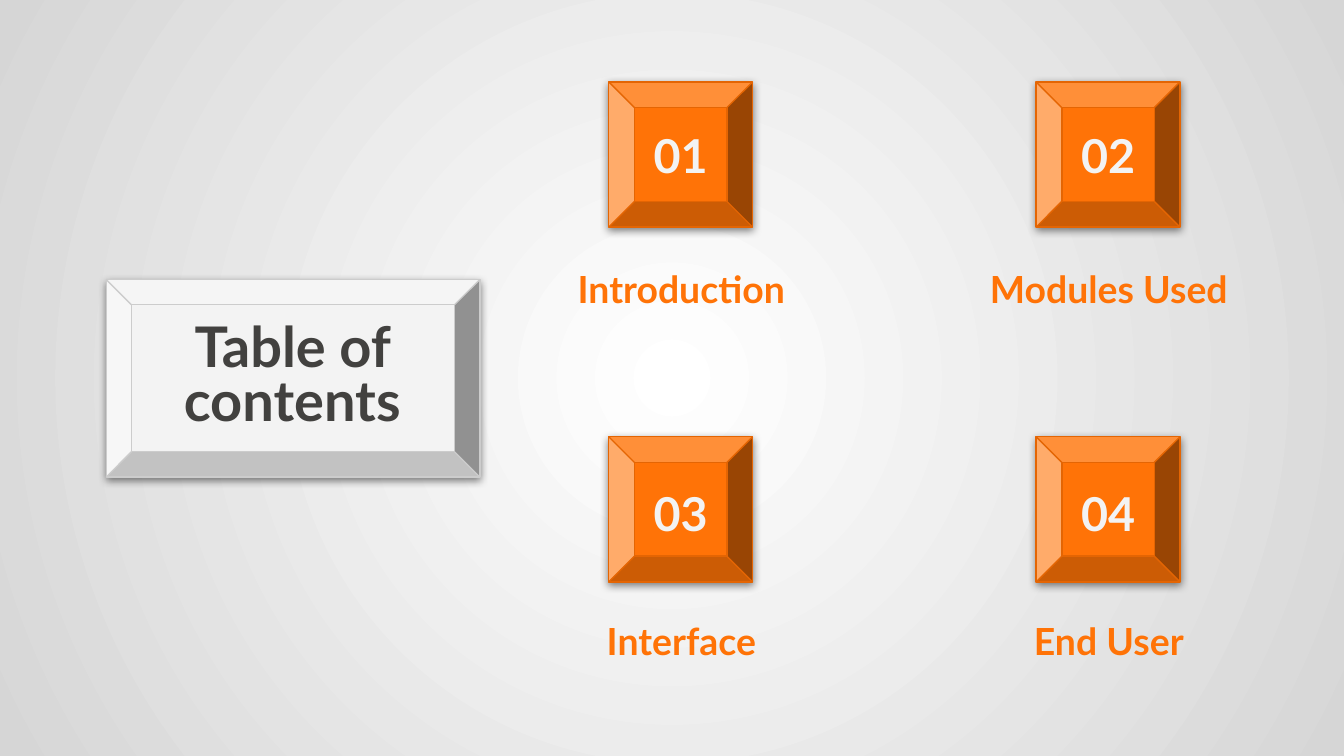
from lxml import etree
from pptx import Presentation
from pptx.dml.color import RGBColor
from pptx.enum.shapes import MSO_SHAPE
from pptx.enum.text import MSO_ANCHOR, MSO_AUTO_SIZE, PP_ALIGN
from pptx.oxml import parse_xml
from pptx.oxml.ns import nsdecls, qn
from pptx.util import Inches, Pt

COLORS = {
    "orange": "FF7307",
    "orange_edge": "E46503",
    "light": "F3F3F3",
    "light_edge": "CCCCCC",
    "dark": "42413F",
    "center": "FFFFFF",
    "rim": "D6D6D6",
    "shadow": "000000",
}


class Deck:
    font = "Lato"

    def __init__(self, width):
        self.prs = Presentation()
        self.prs.slide_width = Inches(width)
        self.prs.slide_height = Inches(width * 9 / 16)
        self.s = None

    def add_slide(self):
        self.s = self.prs.slides.add_slide(self.prs.slide_layouts[5])

    def background(self, inner, outer):
        bg = parse_xml(
            f'<p:bg {nsdecls("p", "a")}><p:bgPr><a:gradFill><a:gsLst>'
            f'<a:gs pos="0"><a:srgbClr val="{COLORS[inner]}"/></a:gs>'
            f'<a:gs pos="100000"><a:srgbClr val="{COLORS[outer]}"/></a:gs>'
            '</a:gsLst><a:path path="circle">'
            '<a:fillToRect l="50000" t="50000" r="50000" b="50000"/>'
            '</a:path></a:gradFill><a:effectLst/></p:bgPr></p:bg>'
        )
        self.s.element.cSld.insert(0, bg)

    def bevel(self, x, y, w, h, depth, fill, edge):
        sp = self.s.shapes.add_shape(
            MSO_SHAPE.BEVEL, Inches(x), Inches(y), Inches(w), Inches(h))
        sp.adjustments[0] = depth
        sp.fill.solid()
        sp.fill.fore_color.rgb = RGBColor.from_string(COLORS[fill])
        sp.line.color.rgb = RGBColor.from_string(COLORS[edge])
        sp.line.width = Pt(0.75)
        self.soft_shadow(sp)

    def soft_shadow(self, sp):
        sp.shadow.inherit = False
        effects = sp.element.spPr.find(qn("a:effectLst"))
        shadow = etree.SubElement(
            effects, qn("a:outerShdw"), blurRad=str(Pt(4.5)), dist=str(Pt(1.5)),
            dir="5400000", algn="bl", rotWithShape="0")
        color = etree.SubElement(shadow, qn("a:srgbClr"), val=COLORS["shadow"])
        etree.SubElement(color, qn("a:alpha"), val="50000")

    def text(self, x, y, w, h, words, size, color):
        sp = self.s.shapes.add_textbox(0, 0, 0, 0)
        self.format_text(sp, x, y, w, h, words, size, color)

    def title(self, x, y, w, h, words, size, color):
        sp = self.s.shapes.title
        self.s.shapes.element.append(sp.element)
        self.format_text(sp, x, y, w, h, words, size, color)
        sp.text_frame.paragraphs[0].line_spacing = 0.8

    def format_text(self, sp, x, y, w, h, words, size, color):
        sp.left, sp.top = Inches(x), Inches(y)
        sp.width, sp.height = Inches(w), Inches(h)
        tf = sp.text_frame
        tf.text = words
        tf.word_wrap = True
        tf.auto_size = MSO_AUTO_SIZE.NONE
        tf.vertical_anchor = MSO_ANCHOR.MIDDLE
        tf.margin_left = tf.margin_right = Inches(0.1)
        tf.margin_top = tf.margin_bottom = Inches(0.1)
        p = tf.paragraphs[0]
        p.alignment = PP_ALIGN.CENTER
        r = p.runs[0]
        r.font.name = self.font
        r.font.size = Pt(size)
        r.font.bold = True
        r.font.color.rgb = RGBColor.from_string(COLORS[color])


def main():
    deck = Deck(10)
    deck.add_slide()
    deck.background("center", "rim")

    deck.bevel(0.79, 2.08, 2.78, 1.47, 0.128, "light", "light_edge")
    deck.title(0.98, 2.01, 2.39, 1.61, "Table of contents", 30, "dark")

    sections = ["Introduction", "Modules Used", "Interface", "End User"]
    for i, section in enumerate(sections):
        row, col = divmod(i, 2)
        x = 3.71 + 3.18 * col
        deck.bevel(x + 0.82, 0.61 + 2.64 * row, 1.07, 1.08,
                   0.179, "orange", "orange_edge")
        deck.text(x + 0.56, 0.85 + 2.66 * row, 1.59, 0.61,
                  f"{i + 1:02}", 25, "light")
        deck.text(x, 1.9 + 2.62 * row, 2.72, 0.5, section, 20, "orange")

    deck.prs.save("out.pptx")


if __name__ == "__main__":
    main()
